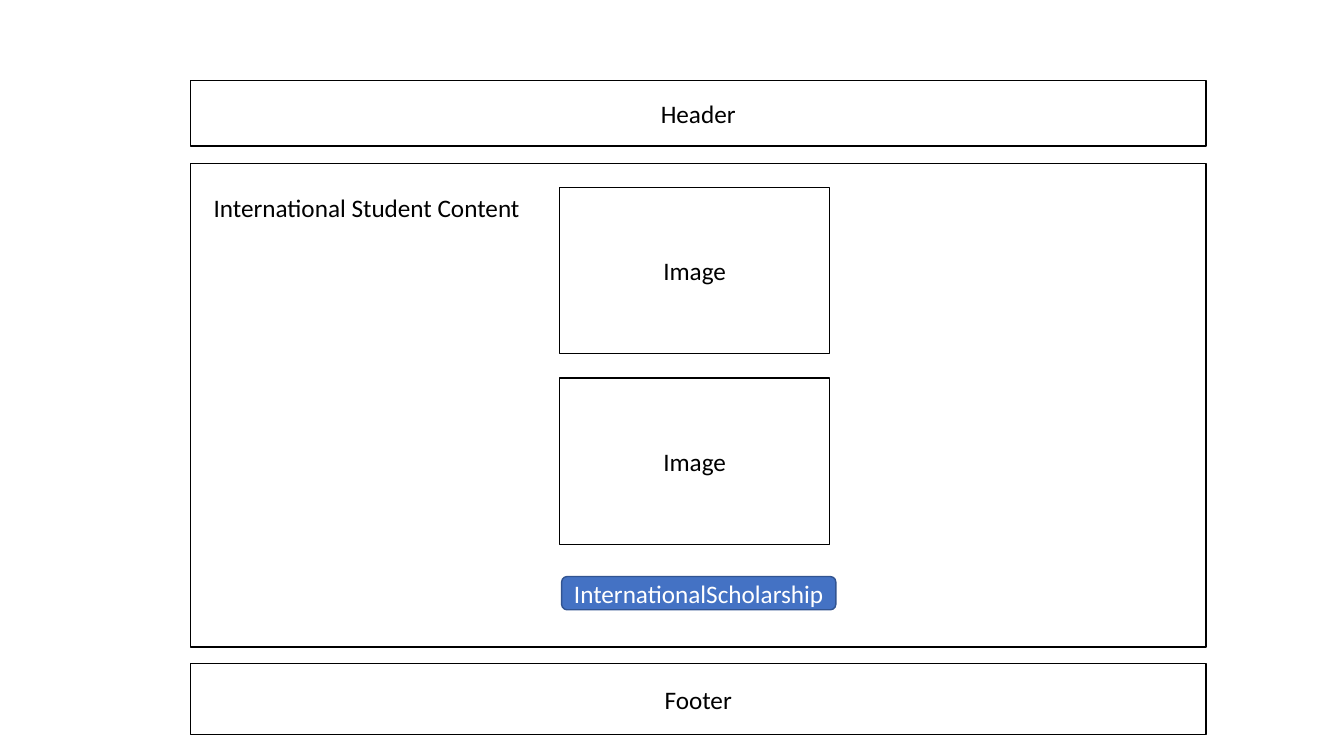
"""Build a wireframe slide of an international student web page."""
from pptx import Presentation
from pptx.dml.color import RGBColor
from pptx.enum.shapes import MSO_SHAPE
from pptx.enum.text import MSO_ANCHOR, MSO_AUTO_SIZE, PP_ALIGN
from pptx.util import Inches, Pt

BLACK = RGBColor(0x00, 0x00, 0x00)
WHITE = RGBColor(0xFF, 0xFF, 0xFF)
BLUE = RGBColor(0x44, 0x72, 0xC4)
DARK_BLUE = RGBColor(0x32, 0x54, 0x91)

PAGE_LEFT, PAGE_WIDTH = 1.89, 10.07
BANDS = [("Header", 0.8, 0.65), ("Footer", 6.58, 0.71), ("", 1.62, 4.8)]
IMAGES = ["Image", "Image"]
IMAGE_LEFT, IMAGE_TOP, IMAGE_WIDTH, IMAGE_HEIGHT = 5.55, 1.86, 2.68, 1.65
IMAGE_STEP = 1.89
BUTTON = ("InternationalScholarship", (5.57, 5.72, 2.72, 0.33))
CONTENT = ("International Student Content", (2.02, IMAGE_TOP, 3.39, 0.4))

FRAME_STYLE = {"kind": MSO_SHAPE.RECTANGLE, "fill": WHITE, "line": BLACK, "color": BLACK}
BUTTON_STYLE = {"kind": MSO_SHAPE.ROUNDED_RECTANGLE, "fill": BLUE, "line": DARK_BLUE, "color": WHITE}


def write_text(shape, text, color, alignment, anchor):
    frame = shape.text_frame
    frame.word_wrap = True
    frame.vertical_anchor = anchor
    paragraph = frame.paragraphs[0]
    paragraph.alignment = alignment
    run = paragraph.add_run()
    run.text = text
    for name, value in {"name": "Calibri", "size": Pt(18)}.items():
        setattr(run.font, name, value)
    run.font.color.rgb = color


def add_box(slide, text, bounds, style):
    shape = slide.shapes.add_shape(style["kind"], *map(Inches, bounds))
    shape.shadow.inherit = False
    shape.fill.solid()
    shape.fill.fore_color.rgb = style["fill"]
    shape.line.color.rgb = style["line"]
    shape.line.width = Pt(1)
    if text:
        write_text(shape, text, style["color"], PP_ALIGN.CENTER, MSO_ANCHOR.MIDDLE)


def main():
    presentation = Presentation()
    presentation.slide_width, presentation.slide_height = Inches(13.33), Inches(7.5)
    slide = presentation.slides.add_slide(presentation.slide_layouts[6])

    for text, top, height in BANDS:
        add_box(slide, text, (PAGE_LEFT, top, PAGE_WIDTH, height), FRAME_STYLE)
    add_box(slide, *BUTTON, BUTTON_STYLE)
    for index, text in enumerate(IMAGES):
        top = IMAGE_TOP + index * IMAGE_STEP
        add_box(slide, text, (IMAGE_LEFT, top, IMAGE_WIDTH, IMAGE_HEIGHT), FRAME_STYLE)

    text, bounds = CONTENT
    content = slide.shapes.add_textbox(*map(Inches, bounds))
    write_text(content, text, BLACK, PP_ALIGN.LEFT, MSO_ANCHOR.TOP)
    content.text_frame.auto_size = MSO_AUTO_SIZE.SHAPE_TO_FIT_TEXT

    presentation.save("out.pptx")


if __name__ == "__main__":
    main()
